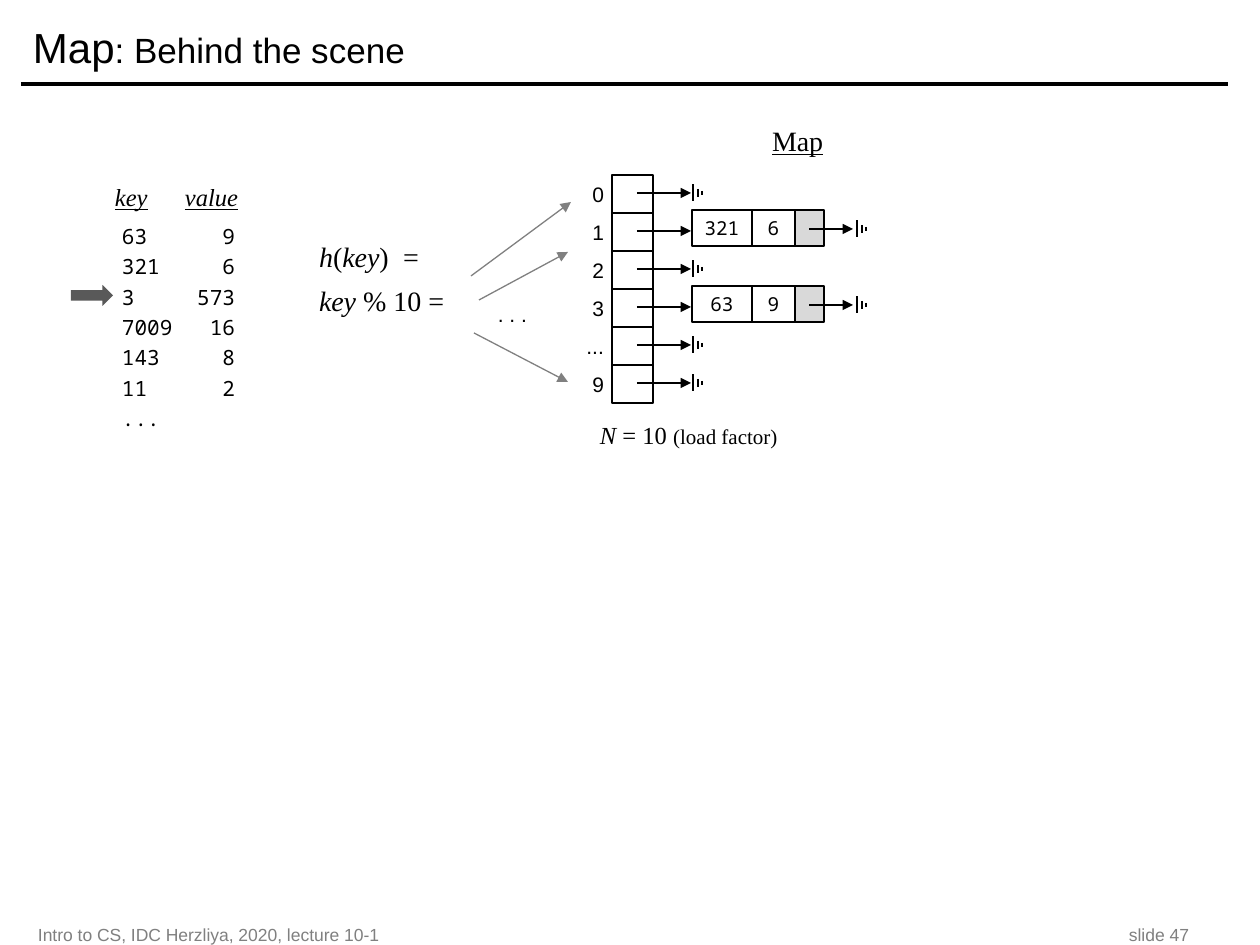
from lxml.etree import SubElement
from pptx import Presentation
from pptx.dml.color import RGBColor
from pptx.enum.shapes import MSO_CONNECTOR, MSO_SHAPE
from pptx.enum.text import MSO_ANCHOR as ANCHOR, PP_ALIGN as ALIGN
from pptx.oxml.ns import qn
from pptx.util import Pt

PX = 7257.14  # EMU in one px, at 126 px to the inch
COLORS = {"ink": "000000", "paper": "FFFFFF", "gray": "808080",
          "pointer": "D9D9D9", "marker": "595959"}
SANS, SERIF, MONO = "Arial", "Times New Roman", "Noto Sans Mono"

ENTRIES = [("63", "9"), ("321", "6"), ("3", "573"), ("7009", "16"),
           ("143", "8"), ("11", "2"), ("...",)]
BUCKETS = [("0", None), ("1", ("321", "6")), ("2", None),
           ("3", ("63", "9")), ("...", None), ("9", None)]
HASH_ARROWS = [(471, 276, 571, 202), (479, 300, 568, 252), (474, 333, 568, 382)]

# A span is (text, size, style letters); a paragraph is a list of spans.
TITLE = [("Map", 24, ""), (": Behind the scene", 20, "")]
FOOTER = [("Intro to CS, IDC Herzliya, 2020, lecture 10-1\tslide 47", 10, "")]
COLUMN_HEADS = [("key", 14, "iu"), ("\t", 14, "i"), ("value", 14, "iu")]
MAP_HEAD = [("Map", 16, "u")]
LOAD_FACTOR = [("N", 14, "i"), (" = 10 ", 14, ""), ("(load factor)", 12, "")]
HASH_RULE = [
    [("h", 16, "i"), ("(", 16, ""), ("key", 16, "i"), (")\t=", 16, "")],
    [("key", 16, "i"), (" % 10 =", 16, "")],
]

BUCKET_LEFT, BUCKET_TOP, BUCKET_WIDTH, BUCKET_HEIGHT = 612, 175, 41, 38
NODE_LEFT, NODE_HEIGHT = 692, 36
KEY_WIDTH, VALUE_WIDTH, POINTER_WIDTH = 60, 43, 29
GROUND_BARS = [(0, 17), (5, 8), (9, 4)]  # offset, height

deck = Presentation()
deck.slide_width, deck.slide_height = round(1260 * PX), round(945 * PX)
page = deck.slides.add_slide(deck.slide_layouts[6])


def emu(*lengths):
    return [round(length * PX) for length in lengths]


def color(name):
    return RGBColor.from_string(COLORS[name])


def write(frame, paragraphs, font, ink="ink", align=ALIGN.LEFT, tab=None,
          gap=0, leading=None):
    """Fill a text frame; tab is (px, 'l' or 'r'), gap and leading are points."""
    frame.word_wrap = True
    for index, spans in enumerate(paragraphs):
        para = frame.add_paragraph() if index else frame.paragraphs[0]
        para.alignment = align
        if tab:
            stops = SubElement(para._p.get_or_add_pPr(), qn("a:tabLst"))
            SubElement(stops, qn("a:tab"), pos=str(emu(tab[0])[0]), algn=tab[1])
        if index and gap:
            para.space_before = Pt(gap)
        if leading:
            para.line_spacing = Pt(leading)
        for text, size, style in spans:
            span = para.add_run()
            span.text = text
            span.font.name, span.font.size = font, Pt(size)
            span.font.color.rgb = color(ink)
            span.font.italic = "i" in style
            span.font.underline = "u" in style


def text_box(place, paragraphs, font, anchor=ANCHOR.TOP, insets=(12, 12), **options):
    box = page.shapes.add_textbox(*emu(*place))
    frame = box.text_frame
    frame.margin_left, frame.margin_right = emu(*insets)
    frame.vertical_anchor = anchor
    write(frame, paragraphs, font, **options)


def block(place, fill=None, outline="ink", kind=MSO_SHAPE.RECTANGLE):
    shape = page.shapes.add_shape(kind, *emu(*place))
    shape.shadow.inherit = False
    if fill:
        shape.fill.solid()
        shape.fill.fore_color.rgb = color(fill)
    else:
        shape.fill.background()
    if outline:
        shape.line.color.rgb = color(outline)
        shape.line.width = Pt(0.75)
    else:
        shape.line.fill.background()
    return shape


def line(ends, ink="ink", width=0.75, arrow=False):
    link = page.shapes.add_connector(MSO_CONNECTOR.STRAIGHT, *emu(*ends))
    link.line.color.rgb = color(ink)
    link.line.width = Pt(width)
    if arrow:
        SubElement(link.line._get_or_add_ln(), qn("a:tailEnd"), type="triangle")
    SubElement(link._element.spPr, qn("a:effectLst"))


def ground(left, middle):
    """Three shrinking bars that mark a null pointer."""
    for offset, height in GROUND_BARS:
        x, top = left + offset, middle - height / 2
        line((x, top, x, top + height))


def node(entry, top):
    """A key, value and pointer cell, with the pointer leading to ground."""
    left = NODE_LEFT
    for text, width in zip((*entry, None), (KEY_WIDTH, VALUE_WIDTH, POINTER_WIDTH)):
        cell = block((left, top, width, NODE_HEIGHT), "paper" if text else "pointer")
        if text:
            frame = cell.text_frame
            frame.margin_left = frame.margin_right = 0
            frame.margin_top = frame.margin_bottom = 0
            frame.vertical_anchor = ANCHOR.MIDDLE
            write(frame, [[(text, 11, "")]], MONO, align=ALIGN.CENTER)
        left += width
    middle = top + NODE_HEIGHT / 2 + 1
    line((left - POINTER_WIDTH / 2, middle, left + 29, middle), arrow=True)
    ground(left + 33, middle)


# Heading and footer
line((21, 84, 1228, 84), width=2)
text_box((26, 921, 1197, 28), [FOOTER], SANS, ANCHOR.MIDDLE, ink="gray", tab=(1151, "r"))
text_box((21, 10, 1207, 73), [TITLE], SANS, ANCHOR.MIDDLE)

# Entries to store
text_box((103, 176, 399, 42), [COLUMN_HEADS], SERIF, tab=(70, "l"))
text_box((110, 217, 331, 240), [[("\t".join(entry), 12, "")] for entry in ENTRIES],
         MONO, tab=(113, "r"), gap=3, leading=14.4)
block((71, 285, 42, 21), "marker", None, MSO_SHAPE.RIGHT_ARROW)

# Hash function
text_box((307, 233, 158, 91), HASH_RULE, SERIF, tab=(84, "l"), gap=6)
text_box((474, 295, 63, 38), [[(". . .", 12, "")]], SANS, insets=(0, 10),
         align=ALIGN.RIGHT)
for ends in HASH_ARROWS:
    line(ends, "gray", arrow=True)

# Map
text_box((760, 117, 108, 42), [MAP_HEAD], SERIF)
for row, (label, entry) in enumerate(BUCKETS):
    top = BUCKET_TOP + row * BUCKET_HEIGHT
    middle = top + BUCKET_HEIGHT / 2 - 1
    block((BUCKET_LEFT, top, BUCKET_WIDTH, BUCKET_HEIGHT))
    text_box((551, top, 63, BUCKET_HEIGHT), [[(label, 12, "")]], SANS,
             insets=(0, 10), align=ALIGN.RIGHT)
    if entry:
        node(entry, middle - NODE_HEIGHT / 2 - 3)
    else:
        ground(693, middle)
    line((637, middle, 691, middle), arrow=True)
text_box((588, 414, 207, 43), [LOAD_FACTOR], SERIF)

deck.save("out.pptx")
